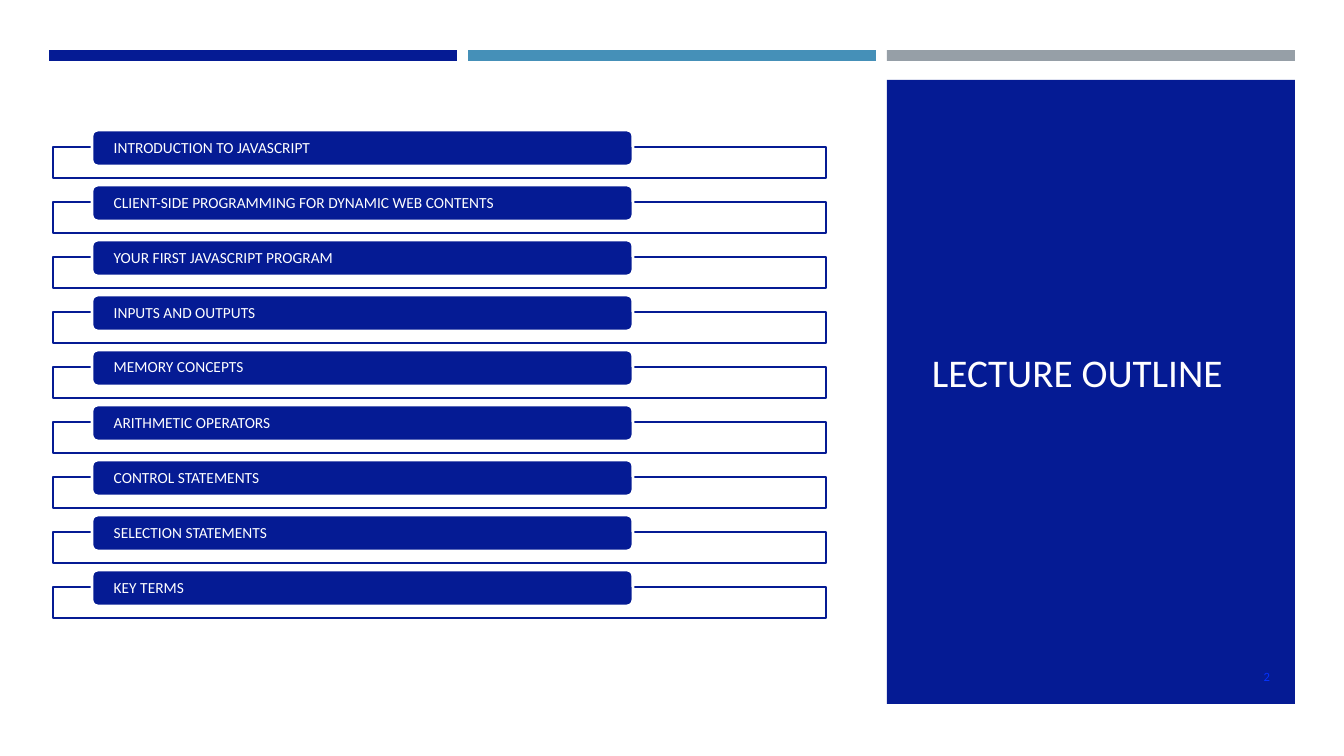
from pptx import Presentation
from pptx.dml.color import RGBColor
from pptx.enum.shapes import MSO_SHAPE
from pptx.enum.text import MSO_ANCHOR, PP_ALIGN
from pptx.util import Pt

SCALE = 914400 / 100.8
HUES = {"navy": "051B94", "sky": "4590B8", "gray": "969FA7",
        "white": "FFFFFF", "cream": "FFFEFF", "blue": "0432FF"}
TOPICS = [
    "INTRODUCTION TO JAVASCRIPT",
    "CLIENT-SIDE PROGRAMMING FOR DYNAMIC WEB CONTENTS",
    "YOUR FIRST JAVASCRIPT PROGRAM",
    "INPUTS AND OUTPUTS",
    "MEMORY CONCEPTS",
    "ARITHMETIC OPERATORS",
    "CONTROL STATEMENTS",
    "SELECTION STATEMENTS",
    "KEY TERMS",
]


def px(num):
    return round(num * SCALE)


def hue(name):
    return RGBColor.from_string(HUES[name])


def apply(item, values):
    for name, value in values.items():
        setattr(item, name, value)


class Deck:
    font = "Calibri"

    def __init__(self):
        self.show = Presentation()
        apply(self.show, {"slide_width": px(1344), "slide_height": px(756)})
        self.slide = self.show.slides.add_slide(self.show.slide_layouts[5])

    def fill_text(self, shape, text, size, color, align=PP_ALIGN.LEFT, pad=10):
        frame = shape.text_frame
        frame.text = text
        apply(frame, {"word_wrap": True, "vertical_anchor": MSO_ANCHOR.MIDDLE,
                      "margin_left": px(pad), "margin_right": px(pad),
                      "margin_top": 0, "margin_bottom": 0})
        line = frame.paragraphs[0]
        apply(line, {"alignment": align, "line_spacing": 0.9})
        apply(line.font, {"name": self.font, "size": Pt(size)})
        line.font.color.rgb = hue(color)

    def box(self, area, fill, edge=None, width=0, kind=MSO_SHAPE.RECTANGLE):
        shape = self.slide.shapes.add_shape(kind, *map(px, area))
        shape.shadow.inherit = False
        shape.fill.solid()
        shape.fill.fore_color.rgb = hue(fill)
        if edge:
            shape.line.color.rgb = hue(edge)
            shape.line.width = Pt(width)
        else:
            shape.line.fill.background()
        return shape

    def topic(self, top, text):
        self.box((53, top + 17, 773, 31), "white", "navy", 1.75)
        pill = self.box((92, top, 541, 36), "navy", "white", 2,
                        MSO_SHAPE.ROUNDED_RECTANGLE)
        self.fill_text(pill, text, 11, "white", pad=20)

    def title(self, area, text):
        title = self.slide.shapes.title
        apply(title, dict(zip(("left", "top", "width", "height"), map(px, area))))
        self.fill_text(title, text, 28, "cream")
        tree = title._element.getparent()
        tree.append(title._element)

    def label(self, area, text):
        box = self.slide.shapes.add_textbox(*map(px, area))
        self.fill_text(box, text, 9, "blue", PP_ALIGN.RIGHT)


def main():
    deck = Deck()
    for col, color in enumerate(("navy", "sky", "gray")):
        deck.box((49 + col * 419, 50, 408, 11), color)
    deck.box((887, 80, 408, 624), "navy")
    deck.title((922, 115, 337, 519), "LECTURE OUTLINE")
    for row, text in enumerate(TOPICS):
        deck.topic(130 + row * 55, text)
    deck.label((1220, 662, 60, 30), "2")
    deck.show.save("out.pptx")


if __name__ == "__main__":
    main()
